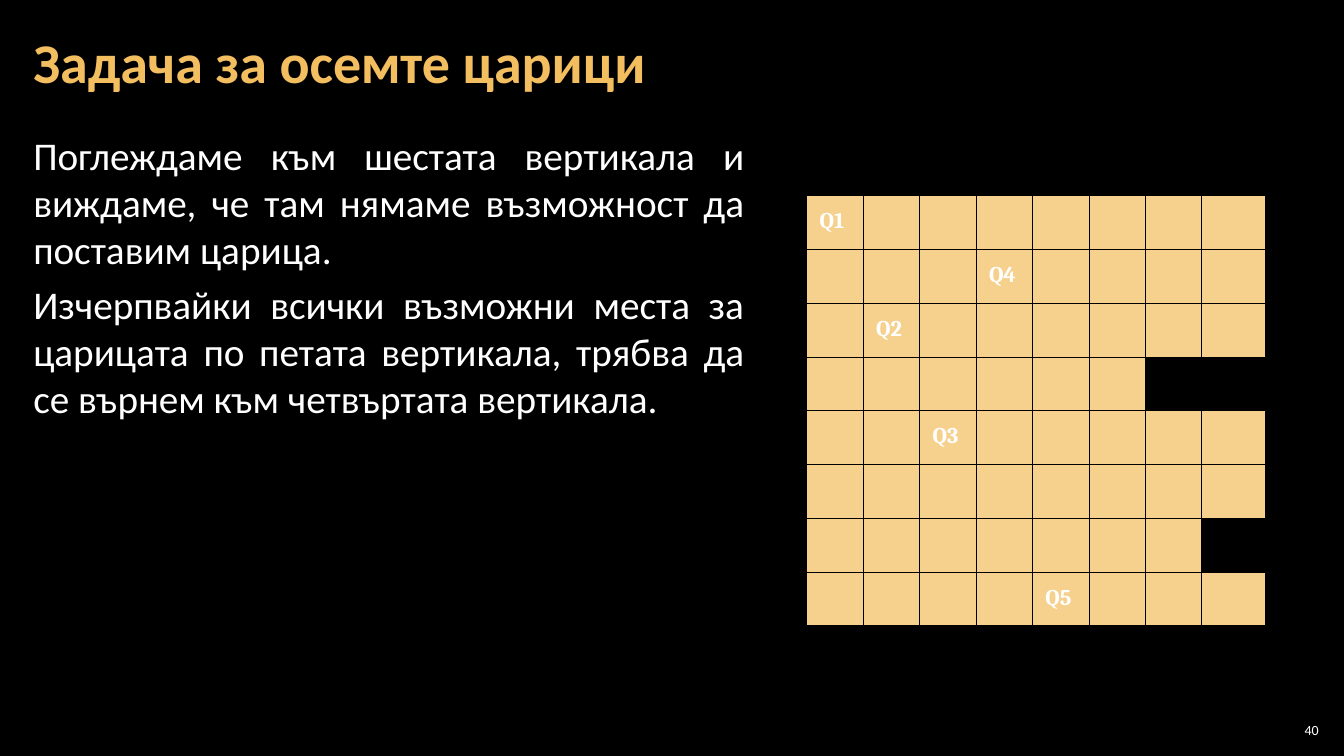
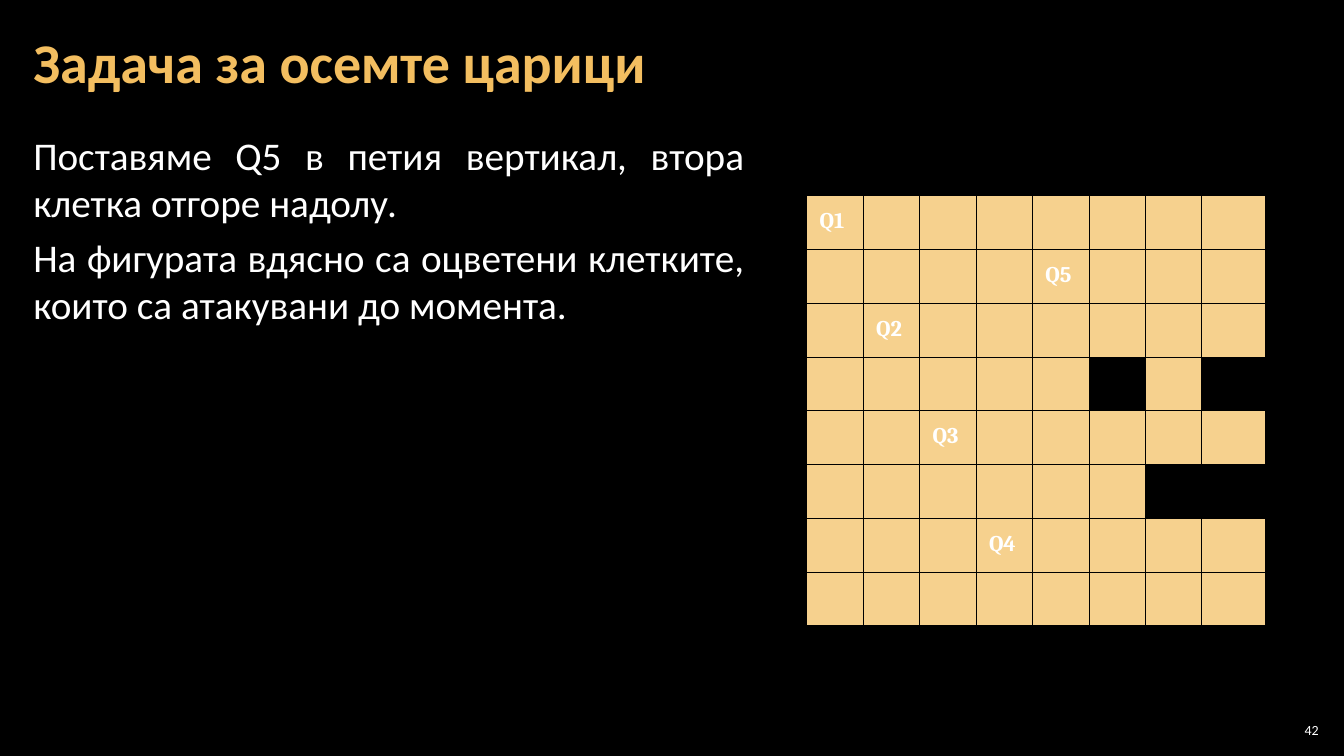
from lxml import etree
from pptx import Presentation
from pptx.dml.color import RGBColor
from pptx.enum.text import MSO_ANCHOR, PP_ALIGN
from pptx.oxml.ns import qn
from pptx.util import Inches, Pt

# Content: queens are (row, column), counted from zero
TITLE = "Задача за осемте царици"
SLIDES = [
    {
        "number": "40",
        "body": [
            "Поглеждаме към шестата вертикала и виждаме, че там нямаме "
            "възможност да поставим царица.",
            "Изчерпвайки всички възможни места за царицата по петата "
            "вертикала, трябва да се върнем към четвъртата вертикала.",
        ],
        "queens": {"Q1": (0, 0), "Q2": (2, 1), "Q3": (4, 2), "Q4": (1, 3), "Q5": (7, 4)},
    },
    {
        "number": "42",
        "body": [
            "Поставяме Q5 в петия вертикал, втора клетка отгоре надолу.",
            "На фигурата вдясно са оцветени клетките, които са атакувани до момента.",
        ],
        "queens": {"Q1": (0, 0), "Q2": (2, 1), "Q3": (4, 2), "Q4": (6, 3), "Q5": (1, 4)},
    },
]

# Shared style
BLACK = RGBColor(0x00, 0x00, 0x00)
WHITE = RGBColor(0xFF, 0xFF, 0xFF)
GOLD = RGBColor(0xF3, 0xBE, 0x60)
SAND = RGBColor(0xF6, 0xD1, 0x8E)
TEXT_FONT, BOARD_FONT = "Calibri", "Cambria"
LEFT, JUSTIFY, RIGHT = PP_ALIGN.LEFT, PP_ALIGN.JUSTIFY, PP_ALIGN.RIGHT
TOP, MIDDLE = MSO_ANCHOR.TOP, MSO_ANCHOR.MIDDLE
TITLE_ONLY = 5

# Board geometry
SIZE = 8
COLUMN_WIDTHS = [0.56] * (SIZE - 1) + [0.63]
BOARD_LEFT, BOARD_TOP, BOARD_HEIGHT = 8, 1.94, 4.27
QUEEN_MARGIN = Inches(0.13)


def set_frame(frame, anchor, side, edge):
    frame.word_wrap = True
    frame.vertical_anchor = anchor
    frame.margin_left = frame.margin_right = Inches(side)
    frame.margin_top = frame.margin_bottom = Inches(edge)


def add_run(paragraph, text, size, color=WHITE, font=TEXT_FONT, bold=False):
    run = paragraph.add_run()
    run.text = text
    run.font.name = font
    run.font.size = Pt(size)
    run.font.bold = bold
    run.font.color.rgb = color


def add_text(slide, box, paragraphs, size, align, anchor, side, space_after=0):
    frame = slide.shapes.add_textbox(*map(Inches, box)).text_frame
    set_frame(frame, anchor, side, 0.04)
    for i, text in enumerate(paragraphs):
        paragraph = frame.add_paragraph() if i else frame.paragraphs[0]
        paragraph.alignment = align
        paragraph.space_after = Pt(space_after)
        add_run(paragraph, text, size)


def set_title(slide):
    title = slide.shapes.title
    title.left, title.top = Inches(0.21), Inches(0.04)
    title.width, title.height = Inches(12.91), Inches(1.21)
    set_frame(title.text_frame, MIDDLE, 0.12, 0.04)
    paragraph = title.text_frame.paragraphs[0]
    paragraph.alignment = LEFT
    paragraph.line_spacing = 0.9
    add_run(paragraph, TITLE, 40, GOLD, bold=True)


def is_attacked(row, column, queens):
    return any(
        row == r or column == c or abs(row - r) == abs(column - c)
        for r, c in queens
    )


def add_borders(cell):
    """Thin black lines, which the schema places before the cell fill."""
    properties = cell._tc.get_or_add_tcPr()
    for position, side in enumerate(("lnL", "lnR", "lnT", "lnB")):
        line = etree.Element(qn(f"a:{side}"), w=str(Pt(0.5)))
        fill = etree.SubElement(line, qn("a:solidFill"))
        etree.SubElement(fill, qn("a:srgbClr"), val=str(BLACK))
        properties.insert(position, line)


def add_board(slide, queens):
    board = slide.shapes.add_table(
        SIZE, SIZE, Inches(BOARD_LEFT), Inches(BOARD_TOP),
        Inches(sum(COLUMN_WIDTHS)), Inches(BOARD_HEIGHT),
    ).table
    board.first_row = board.horz_banding = False
    for column, width in zip(board.columns, COLUMN_WIDTHS):
        column.width = Inches(width)
    names = {square: name for name, square in queens.items()}
    for row in range(SIZE):
        for column in range(SIZE):
            cell = board.cell(row, column)
            cell.fill.solid()
            attacked = is_attacked(row, column, names)
            cell.fill.fore_color.rgb = SAND if attacked else BLACK
            add_borders(cell)
            paragraph = cell.text_frame.paragraphs[0]
            if (row, column) in names:
                cell.margin_left = cell.margin_right = QUEEN_MARGIN
                cell.margin_top = cell.margin_bottom = QUEEN_MARGIN
                add_run(paragraph, names[row, column], 16, font=BOARD_FONT, bold=True)


def main():
    deck = Presentation()
    deck.slide_width, deck.slide_height = Inches(13.33), Inches(7.5)
    background = deck.slide_master.background.fill
    background.solid()
    background.fore_color.rgb = BLACK

    for content in SLIDES:
        slide = deck.slides.add_slide(deck.slide_layouts[TITLE_ONLY])
        set_title(slide)
        add_text(slide, (0.21, 1.26, 7.29, 6.09), content["body"],
                 28, JUSTIFY, TOP, 0.12, space_after=6)
        add_board(slide, content["queens"])
        # Slide number
        add_text(slide, (12.65, 7.14, 0.47, 0.21), [content["number"]],
                 10, RIGHT, MIDDLE, 0.04)

    deck.save("out.pptx")


if __name__ == "__main__":
    main()
